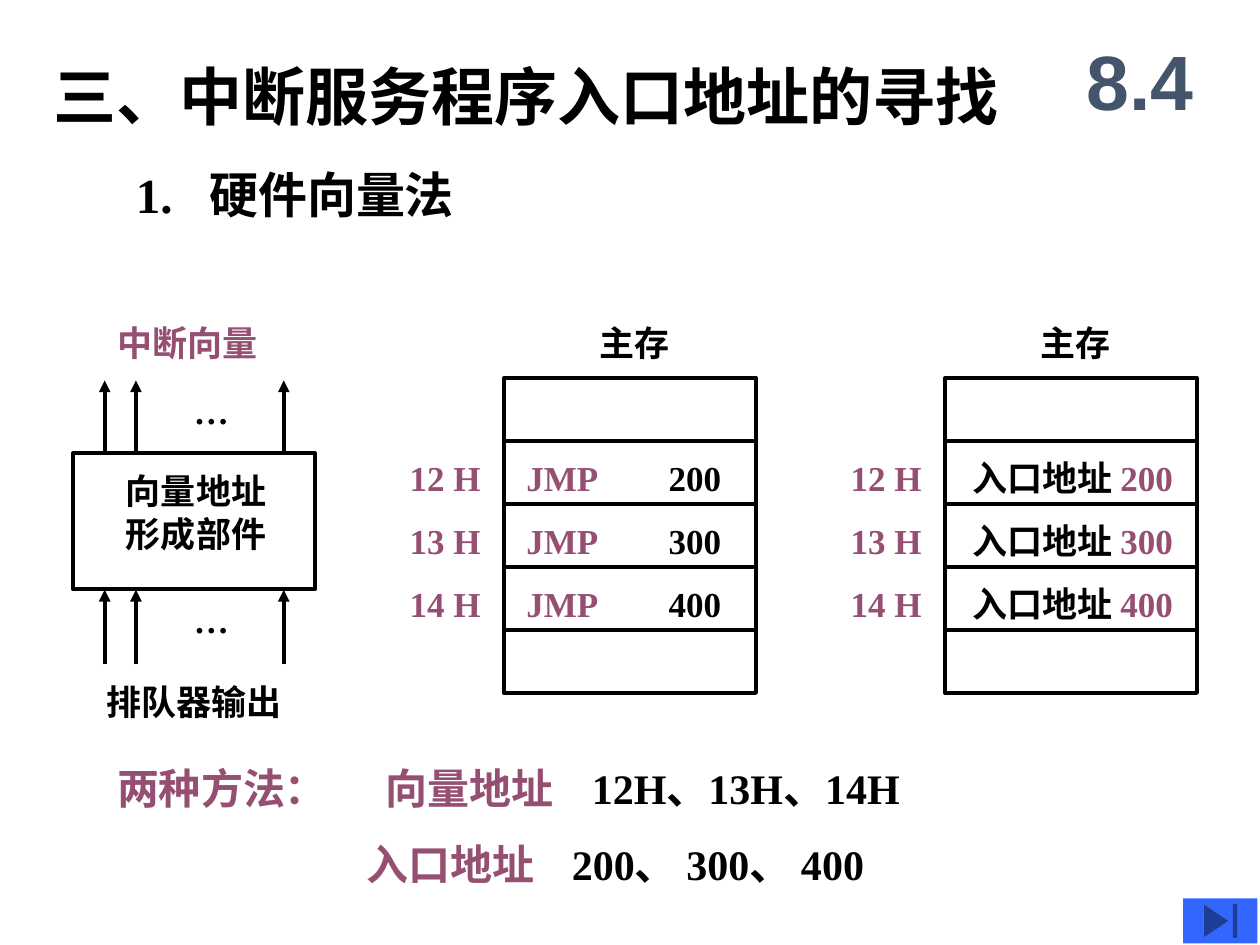
from lxml import etree
from pptx import Presentation
from pptx.dml.color import RGBColor
from pptx.enum.shapes import MSO_CONNECTOR as CONN, MSO_SHAPE as SHAPE
from pptx.enum.text import MSO_ANCHOR as ANCHOR, PP_ALIGN as ALIGN
from pptx.oxml.ns import qn
from pptx.util import Cm, Pt

BLACK, PLUM, SLATE, BLUE = "000000", "954F72", "44546A", "3366FF"
ROW_W, ROW_H, MEMORY_TOP = 5.08, 1.27, 7.62
VECTORS = ["12 H", "13 H", "14 H"]
ENTRIES = ["200", "300", "400"]


def rgb(value):
    return RGBColor.from_string(value)


def add_tabs(p, stops):
    tabs = etree.SubElement(p._p.get_or_add_pPr(), qn("a:tabLst"))
    for stop in stops:
        etree.SubElement(tabs, qn("a:tab"), pos=str(Cm(stop)), algn="l")


def add_text(s, text, x, y, w, h, size=20, color=BLACK, font="Times New Roman",
             anchor=ANCHOR.TOP, align=ALIGN.LEFT, inset=0.25, wrap=False,
             tabs=(), gap=0):
    tf = s.shapes.add_textbox(Cm(x), Cm(y), Cm(w), Cm(h)).text_frame
    tf.word_wrap = wrap
    tf.vertical_anchor = anchor
    tf.margin_left = tf.margin_right = Cm(inset)
    paragraphs = [[(text, color)]] if isinstance(text, str) else text
    for i, runs in enumerate(paragraphs):
        p = tf.add_paragraph() if i else tf.paragraphs[0]
        p.alignment = align
        if tabs:
            add_tabs(p, tabs[i])
        if i and gap:
            p.space_before = Pt(gap)
        for content, run_color in runs:
            r = p.add_run()
            r.text = content
            r.font.name = font
            r.font.size = Pt(size)
            r.font.bold = True
            r.font.color.rgb = rgb(run_color)


def add_box(s, x, y, w, h):
    sp = s.shapes.add_shape(SHAPE.RECTANGLE, Cm(x), Cm(y), Cm(w), Cm(h))
    sp.shadow.inherit = False
    sp.fill.background()
    sp.line.color.rgb = rgb(BLACK)
    sp.line.width = Pt(2.25)


def add_arrow(s, x, start, end):
    line = s.shapes.add_connector(CONN.STRAIGHT, Cm(x), Cm(start), Cm(x), Cm(end))
    line.line.color.rgb = rgb(BLACK)
    line.line.width = Pt(2.25)
    etree.SubElement(line.line._get_or_add_ln(), qn("a:tailEnd"), type="triangle")
    etree.SubElement(line._element.spPr, qn("a:effectLst"))


def add_memory(s, x, entries, offset, tabs=()):
    add_text(s, "主存", x + 1.68, 6.35, 2.4, 1.12, wrap=True)
    for row in range(5):
        add_box(s, x, MEMORY_TOP + row * ROW_H, ROW_W, ROW_H)
    for row, (vector, entry) in enumerate(zip(VECTORS, entries), 1):
        y = MEMORY_TOP + row * ROW_H
        add_text(s, vector, x - 1.9, y, 1.7, 1.47, color=PLUM,
                 anchor=ANCHOR.MIDDLE, inset=0)
        add_text(s, [entry], x + offset, y + 0.18, ROW_W, 1.12,
                 wrap=True, tabs=tabs)


def add_vector_unit(s):
    add_text(s, "中断向量", 2.11, 6.35, 4.65, 1.12, color=PLUM, wrap=True)
    add_box(s, 1.47, 9.14, 4.88, 2.74)
    add_text(s, [[("向量地址", BLACK)], [("形成部件", BLACK)]], 2.29, 9.35, 3.6, 1.96,
             wrap=True)
    for start, end in [(9.14, 7.67), (13.39, 11.89)]:
        for x in (2.11, 2.74, 5.72):
            add_arrow(s, x, start, end)
        add_text(s, "…", 3.66, end + 0.05, 1.22, 1.12)
    add_text(s, "排队器输出", 1.9, 13.59, 5.92, 1.12, wrap=True)


def add_end_button(s):
    sp = s.shapes.add_shape(SHAPE.ACTION_BUTTON_END,
                            Cm(23.85), Cm(18.11), Cm(1.5), Cm(0.91))
    sp.shadow.inherit = False
    sp.fill.solid()
    sp.fill.fore_color.rgb = rgb(BLUE)
    sp.line.fill.background()


def main():
    prs = Presentation()
    prs.slide_width, prs.slide_height = Cm(25.4), Cm(19.05)
    s = prs.slides.add_slide(prs.slide_layouts[6])
    add_text(s, "三、中断服务程序入口地址的寻找", 1.07, 1.07, 24.13, 1.7,
             size=36, anchor=ANCHOR.MIDDLE, inset=0)
    add_text(s, "1.\t硬件向量法", 2.74, 3.18, 10.8, 1.47, size=28,
             anchor=ANCHOR.MIDDLE, inset=0, wrap=True, tabs=[[1.48]])
    add_memory(s, 19.05, [[("入口地址 ", BLACK), (e, PLUM)] for e in ENTRIES], 0.3)
    add_memory(s, 10.16, [[("JMP", PLUM), ("\t" + e, BLACK)] for e in ENTRIES],
               0.2, tabs=[[2.87]])
    add_vector_unit(s)
    methods = [
        [("两种方法：\t向量地址\t", PLUM), ("12H、13H、14H", BLACK)],
        [("\t入口地址\t", PLUM), ("200、 300、 400", BLACK)],
    ]
    add_text(s, methods, 2.11, 15.24, 23.93, 2.82, size=24, wrap=True,
             tabs=[[5.41, 9.57], [5.03, 9.17]], gap=15)
    add_text(s, "8.4", 21.39, 0.43, 3.18, 2.34, size=44, color=SLATE, font="Arial",
             anchor=ANCHOR.MIDDLE, align=ALIGN.CENTER, wrap=True)
    add_end_button(s)
    prs.save("out.pptx")


if __name__ == "__main__":
    main()
